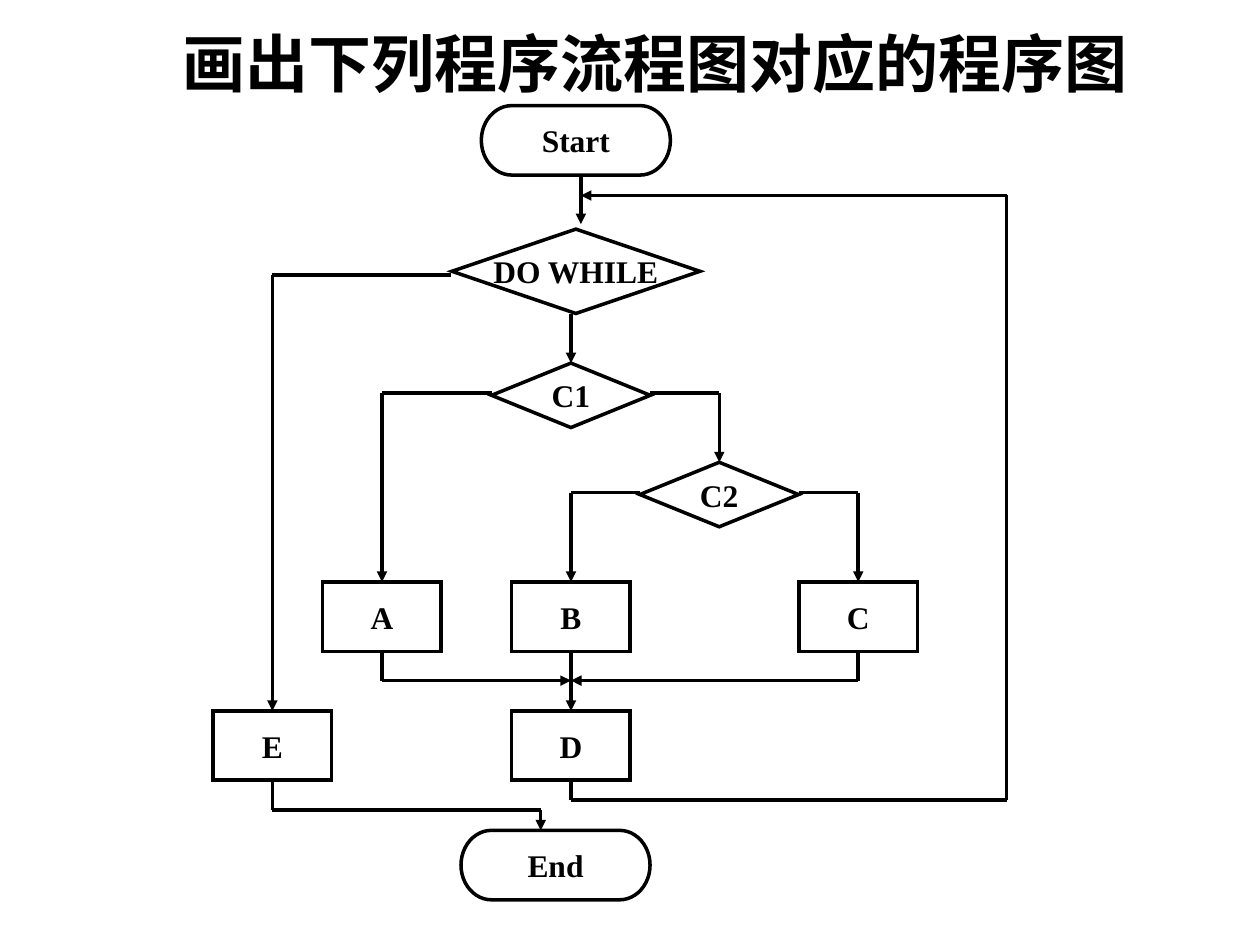
from dataclasses import dataclass
from itertools import pairwise

from lxml.etree import SubElement
from pptx import Presentation
from pptx.dml.color import RGBColor
from pptx.enum.shapes import MSO_CONNECTOR, MSO_SHAPE
from pptx.enum.text import MSO_ANCHOR, MSO_AUTO_SIZE, PP_ALIGN
from pptx.oxml.ns import qn
from pptx.util import Cm, Pt


@dataclass(frozen=True)
class Theme:
    ink: RGBColor = RGBColor(0, 0, 0)
    font: str = "Times New Roman"
    title_size: Pt = Pt(36)
    label_size: Pt = Pt(18)
    line_width: Pt = Pt(2)


THEME = Theme()
TOP, BOTTOM = 0, 2

# Kind of node: preset shape, width, height
KINDS = {
    "terminator": (MSO_SHAPE.FLOWCHART_TERMINATOR, 3.81, 1.4),
    "loop": (MSO_SHAPE.FLOWCHART_DECISION, 5, 1.7),
    "decision": (MSO_SHAPE.FLOWCHART_DECISION, 3.2, 1.3),
    "process": (MSO_SHAPE.FLOWCHART_PROCESS, 2.39, 1.4),
}

# Column centres and row positions in centimetres
E_X, A_X, MAIN_X, C2_X, C_X, RETURN_X = 5.49, 7.7, 11.51, 14.5, 17.3, 20.29
START_X, END_X, ENTRY_X, EXIT_X = 11.61, 11.2, 11.71, 10.9
START_Y, LOOP_Y, C1_Y, C2_Y = 2.13, 4.62, 7.32, 9.32
BRANCH_Y, LAST_Y, END_Y = 11.73, 14.33, 16.74
RETURN_Y, LOOP_EXIT_Y, C1_EXIT_Y, C2_EXIT_Y = 3.94, 5.54, 7.92, 9.93
MERGE_Y, BACK_Y, FINISH_Y = 13.72, 16.13, 16.33
BRANCH_BOTTOM, LAST_BOTTOM = BRANCH_Y + 1.4, LAST_Y + 1.4

# Label, kind, centre x, top
NODES = [
    ("Start", "terminator", START_X, START_Y),
    ("DO WHILE", "loop", START_X, LOOP_Y),
    ("C1", "decision", MAIN_X, C1_Y),
    ("C2", "decision", C2_X, C2_Y),
    ("A", "process", A_X, BRANCH_Y),
    ("B", "process", MAIN_X, BRANCH_Y),
    ("C", "process", C_X, BRANCH_Y),
    ("D", "process", MAIN_X, LAST_Y),
    ("E", "process", E_X, LAST_Y),
    ("End", "terminator", END_X, END_Y),
]

# Node left at its bottom, node entered at its top, corner points
ROUTES = [
    (None, None, [(ENTRY_X, 3.53), (ENTRY_X, 4.52)]),
    (None, "C1", [(MAIN_X, 6.32), (MAIN_X, C1_Y)]),
    (None, "E", [(9.09, LOOP_EXIT_Y), (E_X, LOOP_EXIT_Y), (E_X, LAST_Y)]),
    (None, "A", [(9.91, C1_EXIT_Y), (A_X, C1_EXIT_Y), (A_X, BRANCH_Y)]),
    (None, "C2", [(13.11, C1_EXIT_Y), (C2_X, C1_EXIT_Y), (C2_X, C2_Y)]),
    (None, "B", [(12.9, C2_EXIT_Y), (MAIN_X, C2_EXIT_Y), (MAIN_X, BRANCH_Y)]),
    (None, "C", [(16.1, C2_EXIT_Y), (C_X, C2_EXIT_Y), (C_X, BRANCH_Y)]),
    ("B", "D", [(MAIN_X, BRANCH_BOTTOM), (MAIN_X, LAST_Y)]),
    ("A", None, [(A_X, BRANCH_BOTTOM), (A_X, MERGE_Y), (MAIN_X, MERGE_Y)]),
    ("C", None, [(C_X, BRANCH_BOTTOM), (C_X, MERGE_Y), (MAIN_X, MERGE_Y)]),
    ("E", None, [(E_X, LAST_BOTTOM), (E_X, FINISH_Y),
                 (EXIT_X, FINISH_Y), (EXIT_X, END_Y)]),
    ("D", None, [(MAIN_X, LAST_BOTTOM), (MAIN_X, BACK_Y), (RETURN_X, BACK_Y),
                 (RETURN_X, RETURN_Y), (ENTRY_X, RETURN_Y)]),
]


def set_attributes(target, values):
    for name, value in values.items():
        setattr(target, name, value)


def write_text(shape, text, size, wrap):
    frame = shape.text_frame
    frame.text = text
    set_attributes(frame, {
        "word_wrap": wrap,
        "auto_size": MSO_AUTO_SIZE.NONE,
        "vertical_anchor": MSO_ANCHOR.MIDDLE,
    })
    paragraph = frame.paragraphs[0]
    paragraph.alignment = PP_ALIGN.CENTER
    font = paragraph.runs[0].font
    set_attributes(font, {"name": THEME.font, "size": size, "bold": True})
    font.color.rgb = THEME.ink


def format_line(line):
    line.color.rgb = THEME.ink
    line.width = THEME.line_width


def add_title(slide, text):
    title = slide.shapes.title
    set_attributes(title, {
        "left": Cm(1.9), "top": Cm(0), "width": Cm(22.6), "height": Cm(2.51),
    })
    write_text(title, text, THEME.title_size, True)


def add_node(slide, label, kind, centre, top):
    preset, width, height = KINDS[kind]
    shape = slide.shapes.add_shape(
        preset, Cm(centre - width / 2), Cm(top), Cm(width), Cm(height))
    shape.shadow.inherit = False
    shape.fill.background()
    format_line(shape.line)
    outline = shape.line._get_or_add_ln()
    SubElement(outline, qn("a:miter"), lim="800000")
    write_text(shape, label, THEME.label_size, False)
    return shape


def add_segment(slide, start, end):
    connector = slide.shapes.add_connector(
        MSO_CONNECTOR.STRAIGHT, *map(Cm, start), *map(Cm, end))
    format_line(connector.line)
    SubElement(connector._element.spPr, qn("a:effectLst"))
    return connector


def add_route(slide, nodes, source, target, points):
    """Draw straight segments through the points, with an arrow on the last."""
    segments = [add_segment(slide, *pair) for pair in pairwise(points)]
    if source:
        segments[0].begin_connect(nodes[source], BOTTOM)
    if target:
        segments[-1].end_connect(nodes[target], TOP)
    outline = segments[-1].line._get_or_add_ln()
    SubElement(outline, qn("a:tailEnd"), type="triangle")


def main():
    presentation = Presentation()
    set_attributes(presentation,
                   {"slide_width": Cm(25.4), "slide_height": Cm(19.05)})
    slide = presentation.slides.add_slide(presentation.slide_layouts[5])
    add_title(slide, "画出下列程序流程图对应的程序图")
    nodes = {node[0]: add_node(slide, *node) for node in NODES}
    for route in ROUTES:
        add_route(slide, nodes, *route)
    presentation.save("out.pptx")


if __name__ == "__main__":
    main()
